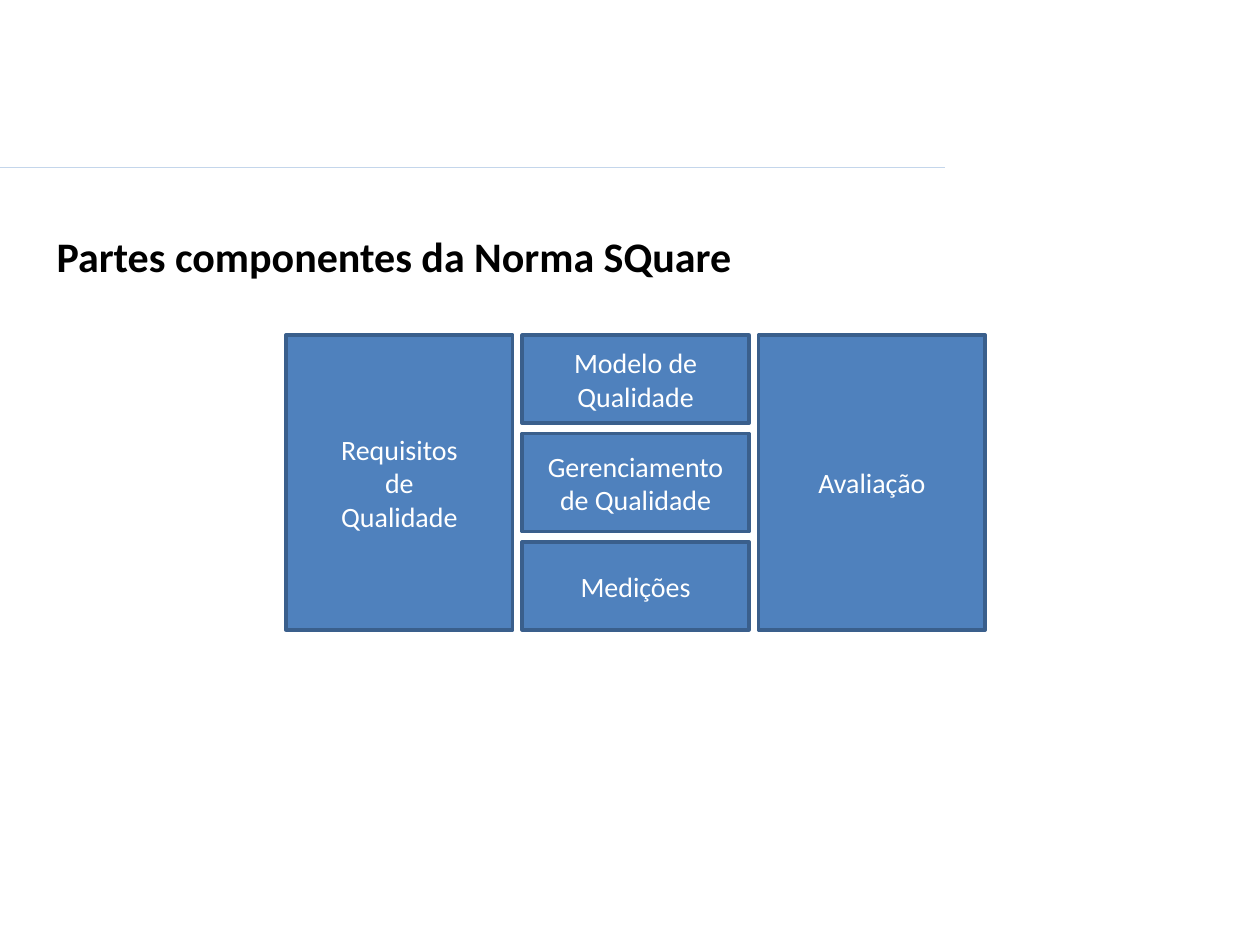
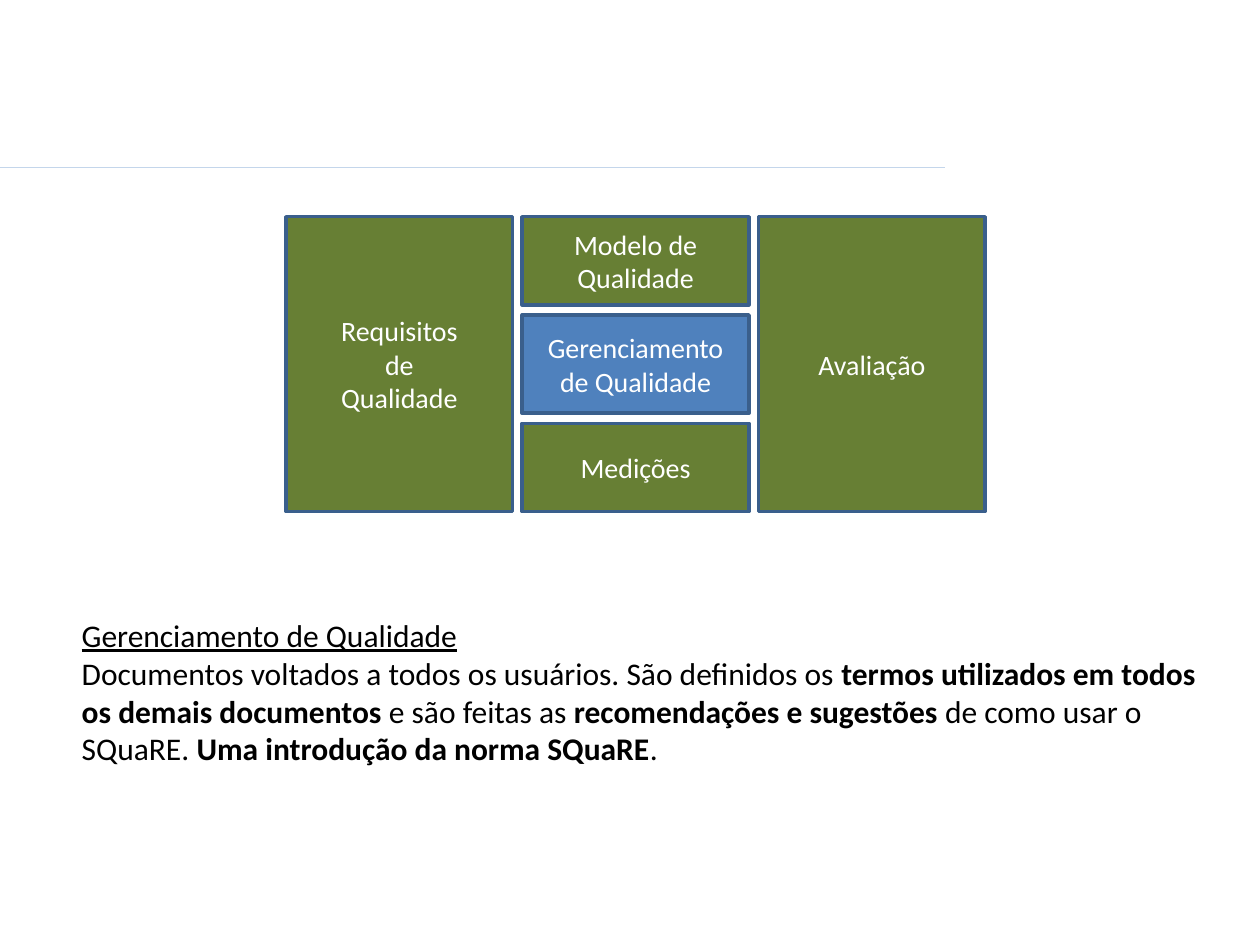
from lxml.etree import SubElement
from pptx import Presentation
from pptx.dml.color import RGBColor
from pptx.enum.shapes import MSO_CONNECTOR, MSO_SHAPE
from pptx.enum.text import MSO_ANCHOR, MSO_AUTO_SIZE, PP_ALIGN
from pptx.oxml.ns import qn
from pptx.util import Pt

FONT = "Calibri"
BLUE = RGBColor(0x4F, 0x81, 0xBD)
GREEN = RGBColor(0x67, 0x7F, 0x34)
EDGE = RGBColor(0x3A, 0x5F, 0x8C)
RULE = RGBColor(0xC4, 0xD6, 0xEB)
WHITE = RGBColor(0xFF, 0xFF, 0xFF)
BLACK = RGBColor(0, 0, 0)

LEFT, WIDTH, STEP, GAP = 163.44, 129.6, 135, 5.76
FOCUS = "Gerenciamento de Qualidade"
COLUMNS = [
    [(["Requisitos", "de", "Qualidade"], 168.48)],
    [(["Modelo de Qualidade"], 50.4), ([FOCUS], 56.16), (["Medições"], 50.4)],
    [(["Avaliação"], 168.48)],
]
NOTE = [
    ("Documentos voltados a todos os usuários. São definidos os ", False),
    ("termos utilizados em todos os demais documentos", True),
    (" e são feitas as ", False),
    ("recomendações e sugestões", True),
    (" de como usar o SQuaRE. ", False),
    ("Uma introdução da norma SQuaRE", True),
    (".", False),
]


def add_run(para, text, size, color, bold=False, under=False):
    """Add one styled run to a paragraph."""
    run = para.add_run()
    run.text = text
    font = run.font
    font.name, font.size = FONT, Pt(size)
    font.bold, font.underline = bold, under
    font.color.rgb = color


def add_base(deck):
    """Add a blank slide with the rule that all slides share."""
    slide = deck.slides.add_slide(deck.slide_layouts[6])
    line = slide.shapes.add_connector(
        MSO_CONNECTOR.STRAIGHT, Pt(0), Pt(95.76), Pt(540), Pt(95.76))
    line.line.color.rgb = RULE
    line.line.width = Pt(0.75)
    SubElement(line._element.spPr, qn("a:effectLst"))
    return slide


def add_part(slide, lines, fill, left, top, width, height):
    """Draw one part of the norm as a framed box."""
    box = slide.shapes.add_shape(
        MSO_SHAPE.RECTANGLE, Pt(left), Pt(top), Pt(width), Pt(height))
    box.shadow.inherit = False
    box.fill.solid()
    box.fill.fore_color.rgb = fill
    box.line.color.rgb = EDGE
    box.line.width = Pt(2)
    frame = box.text_frame
    frame.word_wrap = True
    frame.vertical_anchor = MSO_ANCHOR.MIDDLE
    for i, text in enumerate(lines):
        para = frame.add_paragraph() if i else frame.paragraphs[0]
        para.alignment = PP_ALIGN.CENTER
        add_run(para, text, 16, WHITE)


def add_parts(slide, left, top, fill):
    """Draw the columns of parts, with the focus part in blue."""
    for col, parts in enumerate(COLUMNS):
        y = top
        for lines, height in parts:
            color = BLUE if lines == [FOCUS] else fill
            add_part(slide, lines, color, left + col * STEP, y, WIDTH, height)
            y += height + GAP


def add_text(slide, left, top, width, height, wrap):
    """Add an empty text box and return its frame."""
    box = slide.shapes.add_textbox(Pt(left), Pt(top), Pt(width), Pt(height))
    frame = box.text_frame
    frame.word_wrap = wrap
    frame.auto_size = MSO_AUTO_SIZE.SHAPE_TO_FIT_TEXT
    return frame


def add_title(slide, left, top, width, height):
    """Write the bold slide title."""
    frame = add_text(slide, left, top, width, height, False)
    add_run(frame.paragraphs[0], "Partes componentes da Norma SQuare",
            24, BLACK, bold=True)


def add_note(slide, left, top, width, height):
    """Write the focus heading and the text that explains it."""
    frame = add_text(slide, left, top, width, height, True)
    add_run(frame.paragraphs[0], FOCUS, 18, BLACK, under=True)
    para = frame.add_paragraph()
    for text, bold in NOTE:
        add_run(para, text, 18, BLACK, bold)


def main():
    """Build and save the deck."""
    deck = Presentation()
    deck.slide_width, deck.slide_height = Pt(720), Pt(540)
    slide = add_base(deck)
    add_parts(slide, LEFT, 191.52, BLUE)
    add_title(slide, 25.2, 128.16, 460.08, 36)
    slide = add_base(deck)
    add_parts(slide, LEFT, 123.84, GREEN)
    add_note(slide, 39.6, 348.48, 663.84, 93.6)
    deck.save("out.pptx")


if __name__ == "__main__":
    main()
